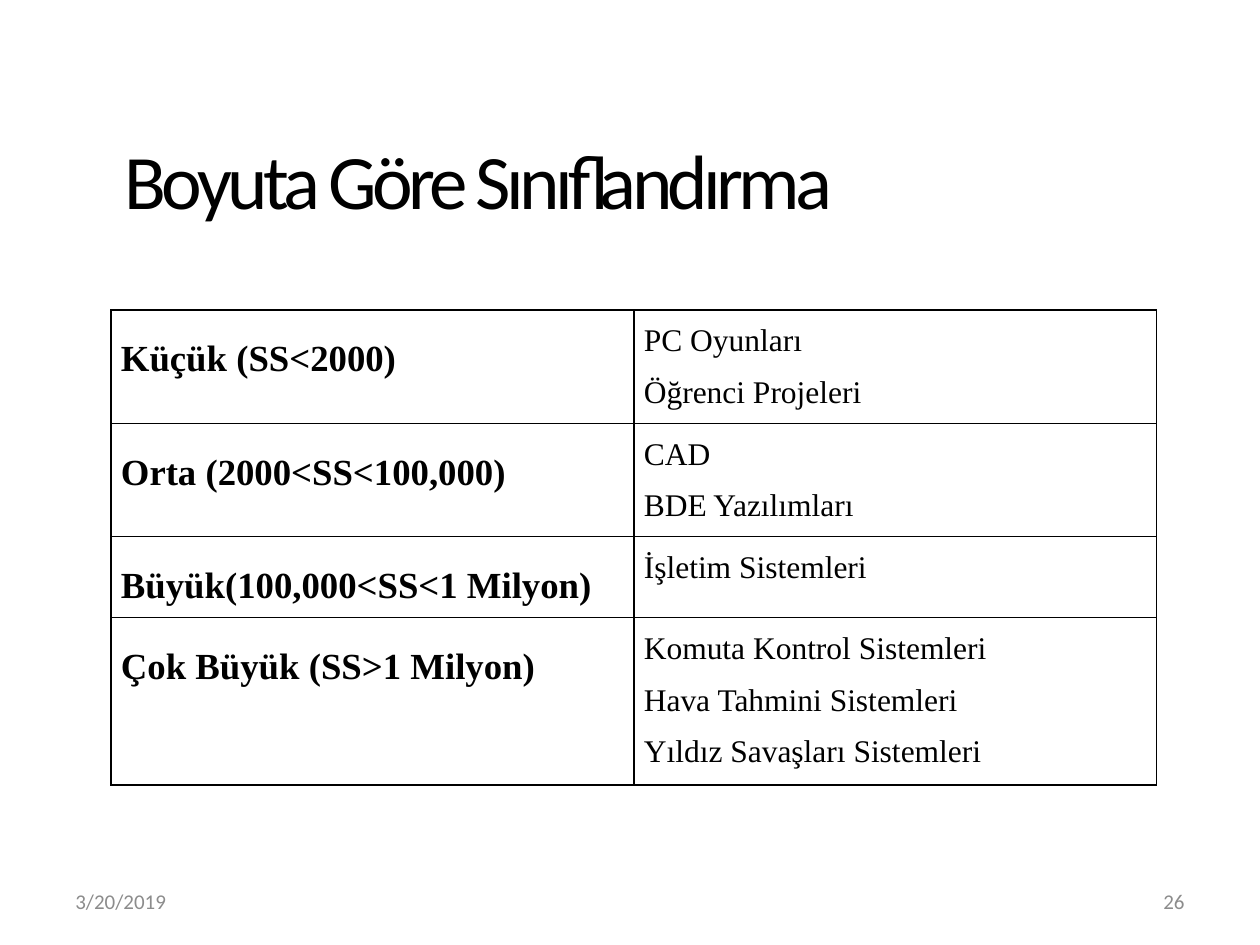
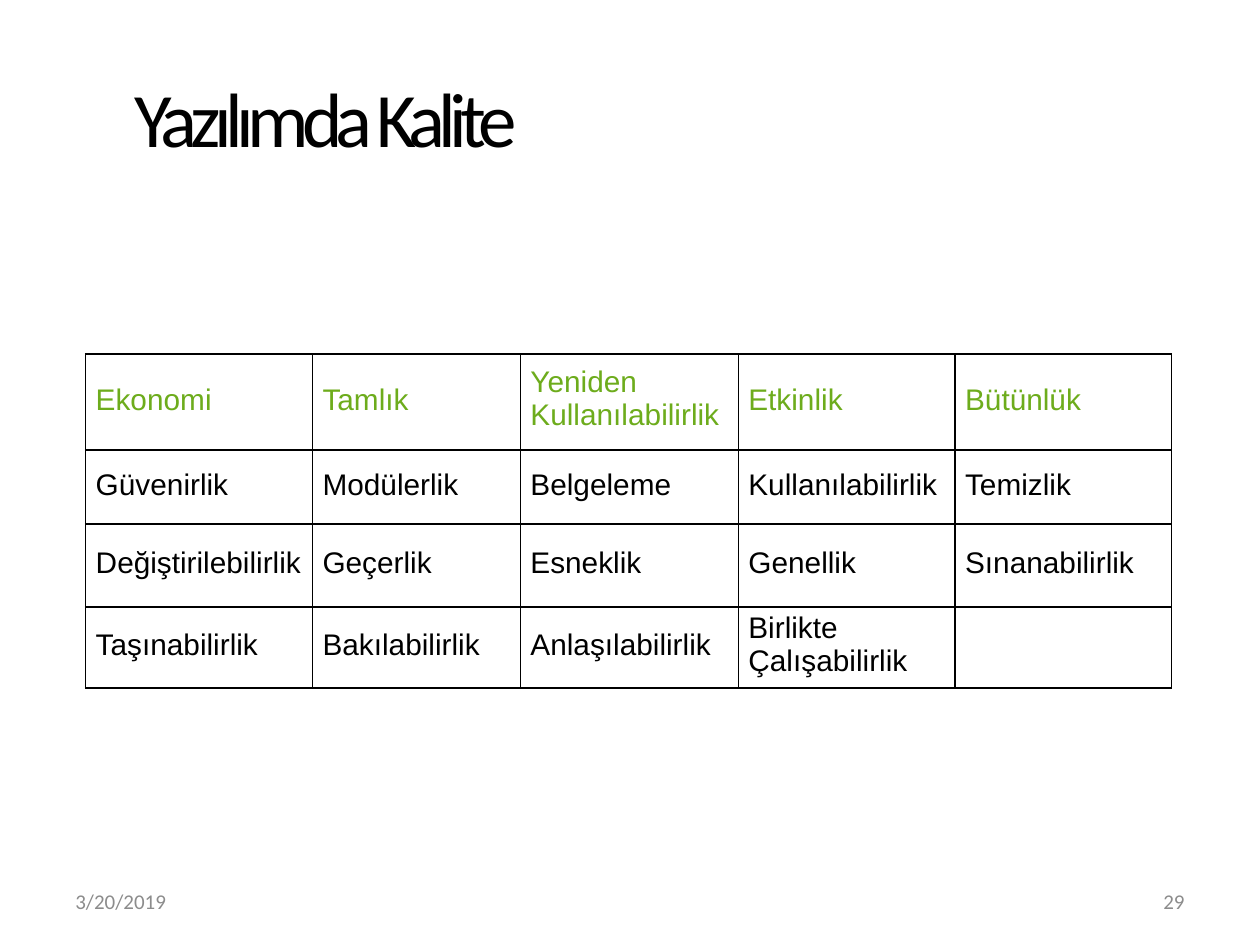
from dataclasses import dataclass

from lxml import etree
from pptx import Presentation
from pptx.dml.color import RGBColor
from pptx.enum import text
from pptx.oxml import ns
from pptx.util import Inches, Pt

BLACK = "000000"
GREY = "8C8C8C"
GREEN = "6DAC1C"
TITLE_FONT = "Calibri"
DATE = "3/20/2019"
LEFT, RIGHT = text.PP_ALIGN.LEFT, text.PP_ALIGN.RIGHT


@dataclass
class TextBox:
    words: str
    left: float
    top: float
    width: float
    height: float
    size: float
    color: str = BLACK
    align: text.PP_ALIGN = LEFT
    tracking: float = 0
    margins: tuple[float, float] = (0.1, 0.05)


@dataclass
class CellStyle:
    font: str
    size: float
    top_margin: float
    color: str = BLACK
    bold: bool = False
    gap: float = 0


@dataclass
class Grid:
    left: float
    top: float
    columns: list[float]
    heights: list[float]
    rows: list[list[str]]
    styles: list[list[CellStyle]]


def rgb(color: str) -> RGBColor:
    return RGBColor.from_string(color)


def set_font(paragraph, name: str, size: float, color: str, bold: bool = False) -> None:
    paragraph.font.name = name
    paragraph.font.size = Pt(size)
    paragraph.font.color.rgb = rgb(color)
    paragraph.font.bold = bold


def draw_text(slide, box: TextBox) -> None:
    shape = slide.shapes.add_textbox(
        Inches(box.left), Inches(box.top), Inches(box.width), Inches(box.height))
    frame = shape.text_frame
    frame.word_wrap = True
    frame.vertical_anchor = text.MSO_ANCHOR.MIDDLE
    side, edge = box.margins
    frame.margin_left = frame.margin_right = Inches(side)
    frame.margin_top = frame.margin_bottom = Inches(edge)
    paragraph = frame.paragraphs[0]
    paragraph.alignment = box.align
    run = paragraph.add_run()
    run.text = box.words
    set_font(paragraph, TITLE_FONT, box.size, box.color)
    if box.tracking:
        run._r.get_or_add_rPr().set("spc", str(round(box.tracking * 100)))


def draw_borders(cell) -> None:
    properties = cell._tc.get_or_add_tcPr()
    for side in ("lnL", "lnR", "lnT", "lnB"):
        line = etree.SubElement(properties, ns.qn(f"a:{side}"), w=str(Pt(1)))
        fill = etree.SubElement(line, ns.qn("a:solidFill"))
        etree.SubElement(fill, ns.qn("a:srgbClr"), val=BLACK)


def fill_cell(cell, words: str, style: CellStyle) -> None:
    draw_borders(cell)
    cell.fill.background()
    cell.margin_left = Inches(0.08)
    cell.margin_right = cell.margin_bottom = 0
    cell.margin_top = Inches(style.top_margin)
    cell.text_frame.text = words
    for index, paragraph in enumerate(cell.text_frame.paragraphs):
        set_font(paragraph, style.font, style.size, style.color, style.bold)
        paragraph.space_before = Pt(style.gap if index else 0)


def draw_table(slide, grid: Grid) -> None:
    table = slide.shapes.add_table(
        len(grid.heights), len(grid.columns), Inches(grid.left), Inches(grid.top),
        Inches(sum(grid.columns)), Inches(sum(grid.heights))).table
    table.first_row = table.horz_banding = False
    for column, width in zip(table.columns, grid.columns):
        column.width = Inches(width)
    for row, height, row_words, row_styles in zip(
            table.rows, grid.heights, grid.rows, grid.styles):
        row.height = Inches(height)
        for cell, words, style in zip(row.cells, row_words, row_styles):
            fill_cell(cell, words, style)


def add_slide(presentation, title: TextBox, grid: Grid, number: int) -> None:
    slide = presentation.slides.add_slide(presentation.slide_layouts[6])
    draw_text(slide, title)
    draw_table(slide, grid)
    draw_text(slide, TextBox(DATE, 0.5, 6.95, 2.33, 0.4, 12, GREY))
    draw_text(slide, TextBox(str(number), 7.17, 6.95, 2.33, 0.4, 12, GREY, RIGHT))


def size_grid() -> Grid:
    category = CellStyle("Times New Roman", 21, 0.23, bold=True)
    examples = CellStyle("Times New Roman", 18, 0.11, gap=9.6)
    rows = [
        ["Küçük (SS<2000)", "PC Oyunları\nÖğrenci Projeleri"],
        ["Orta (2000<SS<100,000)", "CAD\nBDE Yazılımları"],
        ["Büyük(100,000<SS<1 Milyon)", "İşletim Sistemleri"],
        ["Çok Büyük (SS>1 Milyon)",
         "Komuta Kontrol Sistemleri\nHava Tahmini Sistemleri\nYıldız Savaşları Sistemleri"],
    ]
    return Grid(0.88, 2.46, [4.15, 4.15], [0.9, 0.9, 0.64, 1.33], rows,
                [[category, examples]] * len(rows))


def quality_grid() -> Grid:
    rows = [
        ["Ekonomi", "Tamlık", "Yeniden\nKullanılabilirlik", "Etkinlik", "Bütünlük"],
        ["Güvenirlik", "Modülerlik", "Belgeleme", "Kullanılabilirlik", "Temizlik"],
        ["Değiştirilebilirlik", "Geçerlik", "Esneklik", "Genellik", "Sınanabilirlik"],
        ["Taşınabilirlik", "Bakılabilirlik", "Anlaşılabilirlik", "Birlikte Çalışabilirlik", ""],
    ]
    row_looks = [(0.23, GREEN), (0.15, BLACK), (0.18, BLACK), (0.17, BLACK)]
    styles = [[CellStyle("Arial", 17, margin, color) for _ in rows[0]]
              for margin, color in row_looks]
    styles[0][2].top_margin = 0.09
    styles[3][3].top_margin = 0.03
    return Grid(0.68, 2.81, [1.8, 1.65, 1.73, 1.72, 1.72], [0.76, 0.59, 0.66, 0.64],
                rows, styles)


def main() -> None:
    presentation = Presentation()
    presentation.slide_width = Inches(10)
    presentation.slide_height = Inches(7.5)
    add_slide(presentation,
              TextBox("Boyuta Göre Sınıflandırma", 0.99, 1, 8.18, 0.83, 44,
                      tracking=-2.7, margins=(0, 0.01)),
              size_grid(), 26)
    add_slide(presentation,
              TextBox("Yazılımda Kalite", 0.5, 0.3, 9, 1.25, 44,
                      tracking=-3.85, margins=(0.57, 0.01)),
              quality_grid(), 29)
    presentation.save("out.pptx")


if __name__ == "__main__":
    main()
